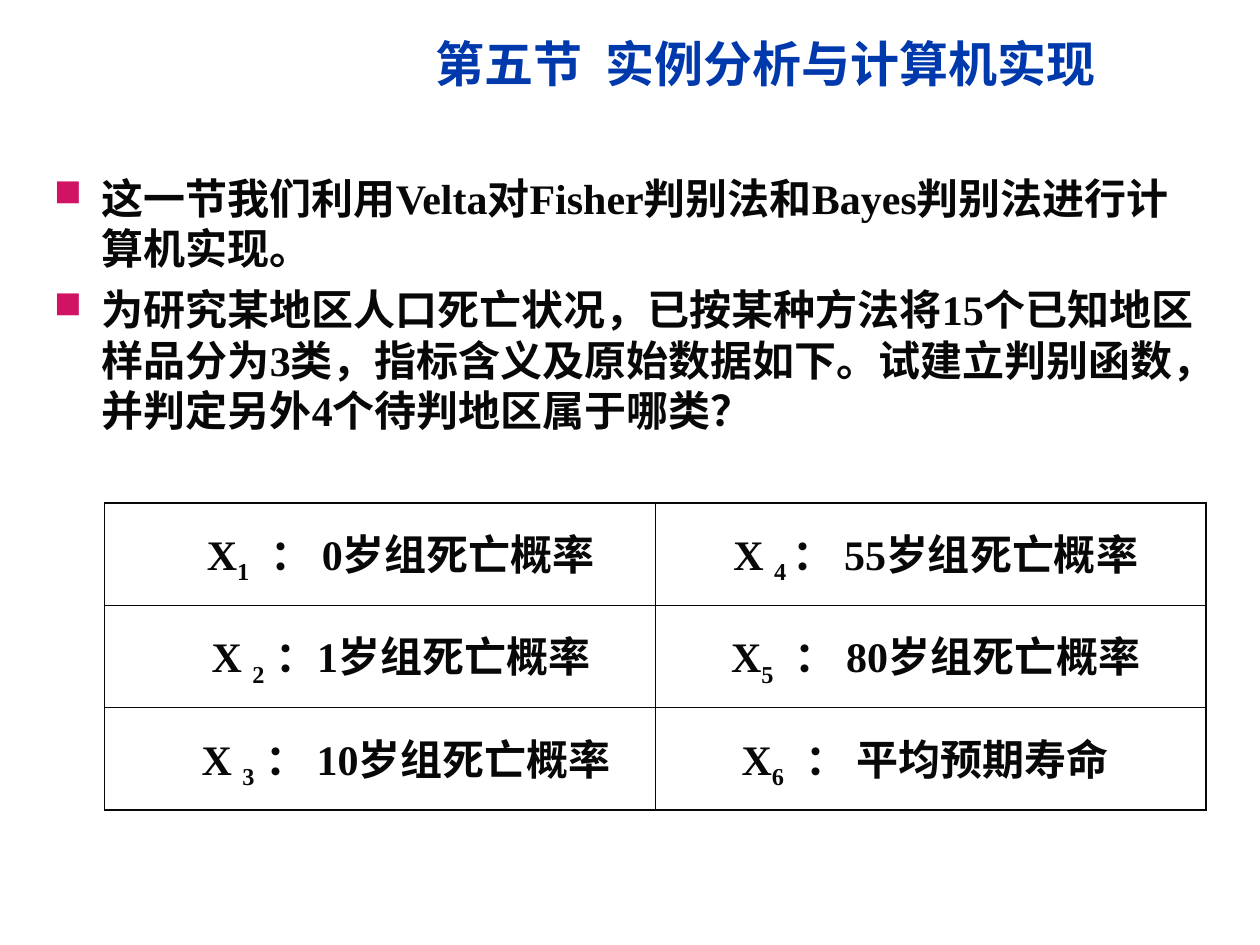
from dataclasses import dataclass

from lxml import etree
from pptx import Presentation
from pptx.dml.color import RGBColor
from pptx.enum.text import MSO_ANCHOR, PP_ALIGN
from pptx.oxml.ns import qn
from pptx.util import Inches, Pt

MIDDLE = MSO_ANCHOR.MIDDLE
TOP = MSO_ANCHOR.TOP
LEFT = PP_ALIGN.LEFT
CENTER = PP_ALIGN.CENTER
WIDE, HIGH = Inches(10), Inches(7.5)


@dataclass(frozen=True)
class Theme:
    font: str = "Times New Roman"
    blue: str = "0039AC"
    ink: str = "080808"
    pink: str = "D11364"
    head: int = 28
    text: int = 24
    edge: float = 1.08
    rule: float = 0.45


THEME = Theme()

TITLE = [("第五节", 0), (" ", 7), ("实例分析与计算机实现", 0)]
POINTS = [
    "这一节我们利用Velta对Fisher判别法和Bayes判别法进行计算机实现。",
    "为研究某地区人口死亡状况，已按某种方法将15个已知地区样品分为3类，"
    "指标含义及原始数据如下。试建立判别函数，并判定另外4个待判地区属于哪类？",
]
CELLS = [
    [("X", "1", 6, " ： 0岁组死亡概率", 24),
     ("X ", "4 ", 0, "： 55岁组死亡概率", 6)],
    [("X ", "2", 0, " ：1岁组死亡概率", 24),
     ("X", "5", 6, " ： 80岁组死亡概率", 6)],
    [("X ", "3", 0, " ： 10岁组死亡概率", 30),
     ("X", "6", 6, " ： 平均预期寿命", -6)],
]


def share(x, y, w, h):
    return [round(v) for v in (x * WIDE, y * HIGH, w * WIDE, h * HIGH)]


def write(para, text, size=THEME.text, color=THEME.ink, align=LEFT,
          base=0, gap=0):
    para.alignment = align
    run = para.add_run()
    run.text = text
    font = run.font
    font.name, font.size, font.bold = THEME.font, Pt(size), True
    font.color.rgb = RGBColor.from_string(color)
    props = run._r.get_or_add_rPr()
    if base:
        props.set("baseline", str(base * 1000))
    if gap:
        props.set("spc", str(gap * 100))


def add_box(slide, area, anchor):
    frame = slide.shapes.add_textbox(*share(*area)).text_frame
    frame.word_wrap = True
    frame.vertical_anchor = anchor
    return frame


def add_mark(para):
    props = para._p.get_or_add_pPr()
    props.set("marL", str(Inches(0.38)))
    props.set("indent", str(-Inches(0.38)))
    color = etree.SubElement(props, qn("a:buClr"))
    etree.SubElement(color, qn("a:srgbClr"), val=THEME.pink)
    etree.SubElement(props, qn("a:buSzPct"), val="90000")
    etree.SubElement(props, qn("a:buChar"), char="■")


def add_title(slide):
    frame = add_box(slide, (0.336, 0.04, 0.649, 0.064), MIDDLE)
    para = frame.paragraphs[0]
    para.line_spacing = 0.8
    for text, gap in TITLE:
        write(para, text, size=THEME.head, color=THEME.blue, gap=gap)


def add_points(slide):
    frame = add_box(slide, (0.033, 0.176, 0.934, 0.78), TOP)
    for i, text in enumerate(POINTS):
        para = frame.add_paragraph() if i else frame.paragraphs[0]
        add_mark(para)
        if i:
            para.space_before = Pt(6)
        write(para, text)


def add_edge(cell, side, width):
    props = cell._tc.get_or_add_tcPr()
    line = etree.SubElement(props, qn(f"a:ln{side}"), w=str(Pt(width)))
    fill = etree.SubElement(line, qn("a:solidFill"))
    etree.SubElement(fill, qn("a:srgbClr"), val=THEME.ink)


def fill_cell(cell, name, index, gap, label, shift):
    cell.vertical_anchor = MIDDLE
    cell.margin_left = Pt(7.2 + shift)
    para = cell.text_frame.paragraphs[0]
    write(para, name, align=CENTER)
    write(para, index, align=CENTER, base=-25, gap=gap)
    write(para, label, align=CENTER)


def add_grid(slide):
    rows, cols = len(CELLS), len(CELLS[0])
    area = share(0.083, 0.532, 0.874, 0.325)
    table = slide.shapes.add_table(rows, cols, *area).table
    table.first_row = table.horz_banding = False
    for r, row in enumerate(CELLS):
        for c, parts in enumerate(row):
            cell = table.cell(r, c)
            fill_cell(cell, *parts)
            outer = {"L": c == 0, "R": c == cols - 1,
                     "T": r == 0, "B": r == rows - 1}
            for side, edge in outer.items():
                add_edge(cell, side, THEME.edge if edge else THEME.rule)
            cell.fill.background()


def main():
    deck = Presentation()
    deck.slide_width, deck.slide_height = WIDE, HIGH
    slide = deck.slides.add_slide(deck.slide_layouts[6])
    add_title(slide)
    add_points(slide)
    add_grid(slide)
    deck.save("out.pptx")


if __name__ == "__main__":
    main()
